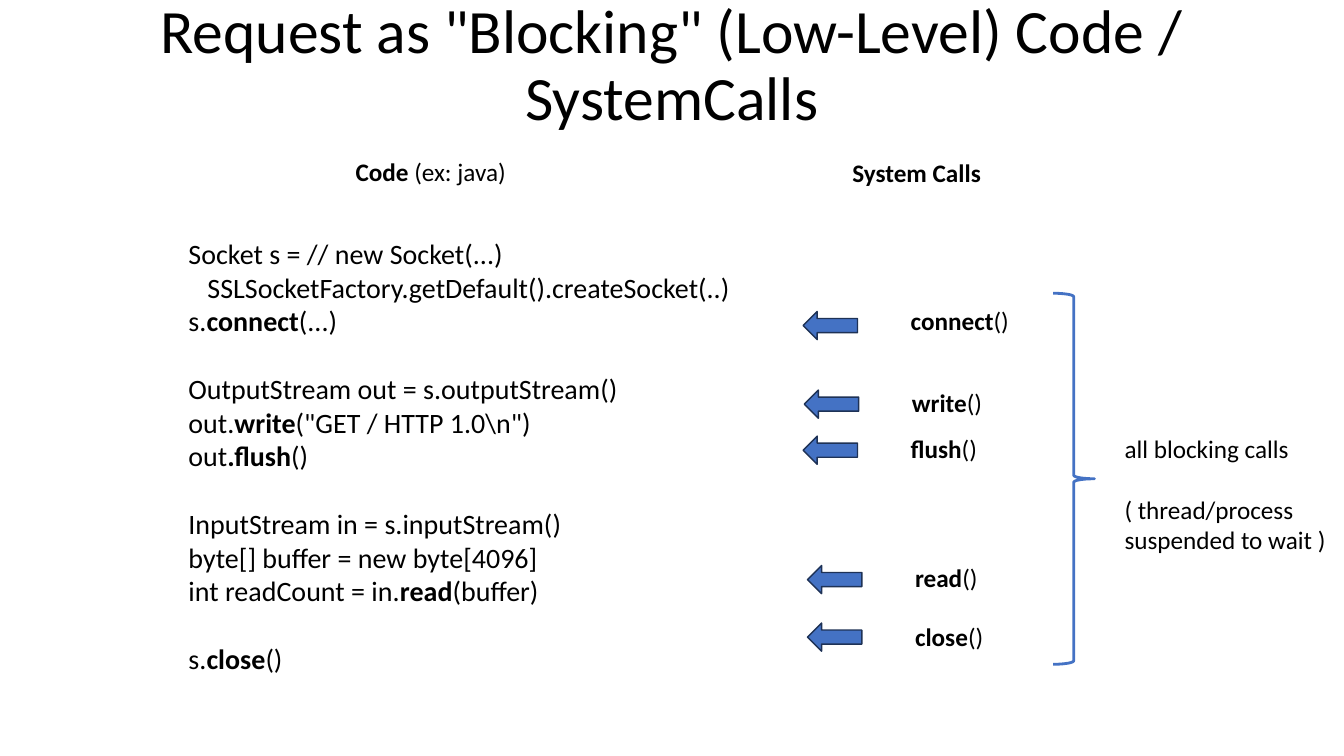
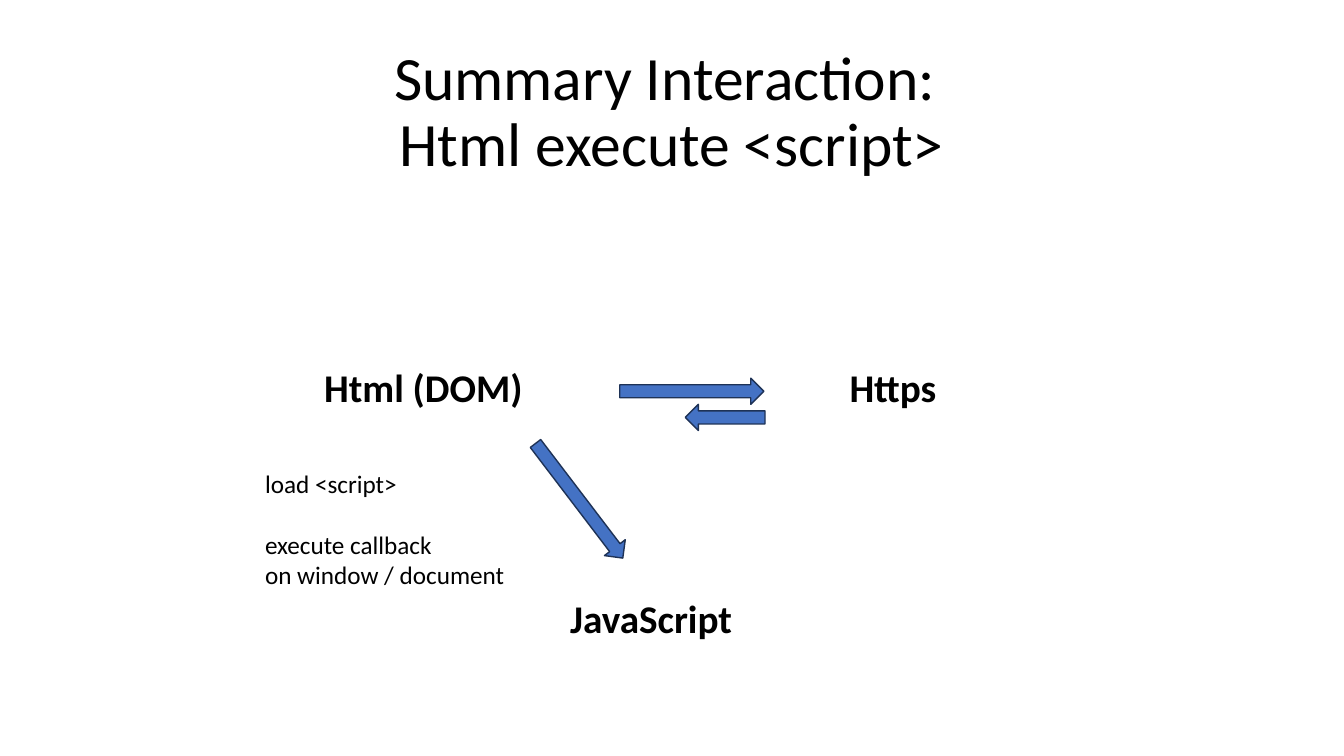
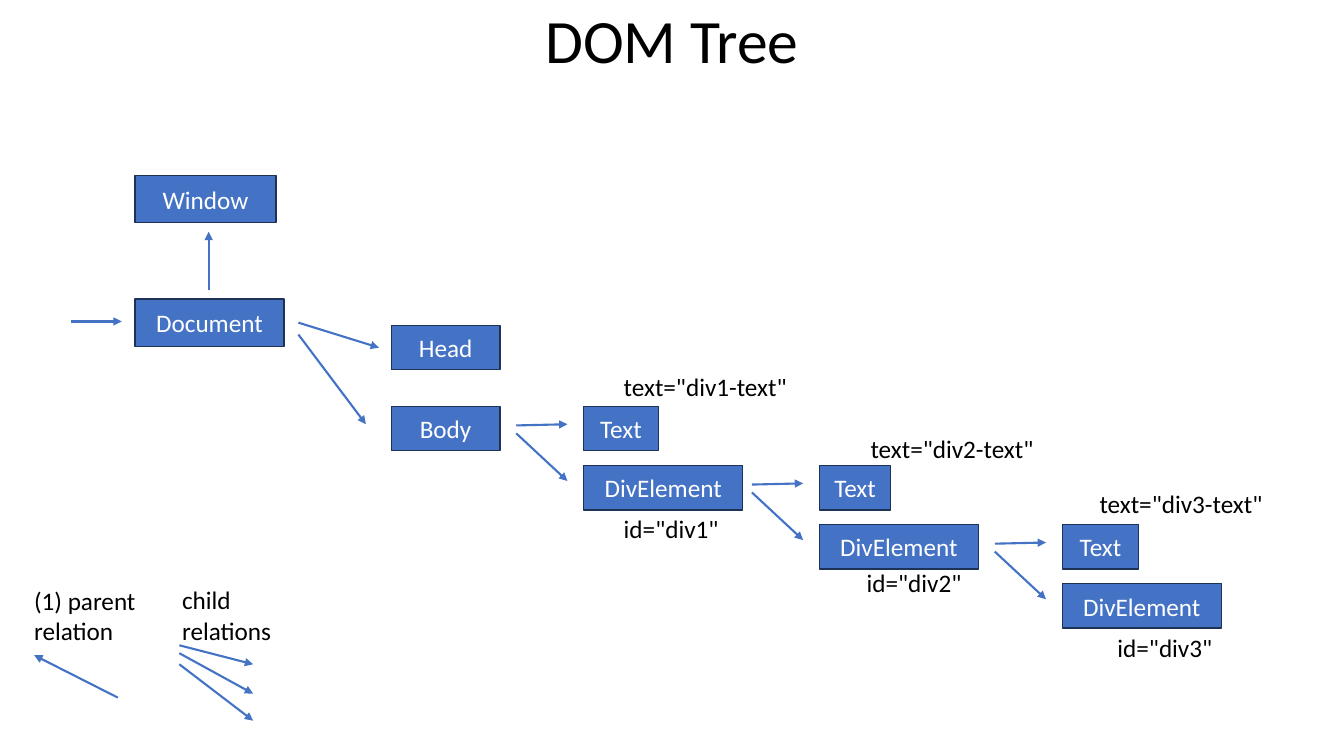
from dataclasses import dataclass

from lxml import etree
from pptx import Presentation
from pptx import util as u
from pptx.dml.color import RGBColor
from pptx.enum import shapes, text
from pptx.oxml.ns import qn

Cm, Pt = u.Cm, u.Pt
Shape = shapes.MSO_SHAPE


@dataclass(frozen=True)
class Theme:
    font: str = "Calibri"
    ink: RGBColor = RGBColor(0x00, 0x00, 0x00)
    paper: RGBColor = RGBColor(0xFF, 0xFF, 0xFF)
    accent: RGBColor = RGBColor(0x44, 0x72, 0xC4)
    outline: RGBColor = RGBColor(0x1E, 0x32, 0x56)
    title_size: int = 44
    topic_size: int = 28
    code_size: int = 20
    body_size: int = 18
    line_height: float = 1.22


class Deck:
    def __init__(self, theme):
        self.theme = theme
        self.prs = Presentation()
        self.prs.slide_width, self.prs.slide_height = Cm(33.87), Cm(19.05)
        self.slide = None

    def new_slide(self, title, top, height):
        self.slide = self.prs.slides.add_slide(self.prs.slide_layouts[6])
        box = self.slide.shapes.add_textbox(Cm(2.33), Cm(top), Cm(29.21), Cm(height))
        box.text_frame.word_wrap = True
        box.text_frame.vertical_anchor = text.MSO_ANCHOR.MIDDLE
        heading = box.text_frame.paragraphs[0]
        for number, line in enumerate(title.split("\n")):
            if number:
                heading.add_line_break()
            heading.add_run().text = line
        heading.alignment = text.PP_ALIGN.CENTER
        heading.line_spacing = 0.9
        self.set_font(heading, self.theme.title_size)

    def set_font(self, paragraph, size, color=None):
        font = paragraph.font
        font.name, font.size = self.theme.font, Pt(size)
        font.color.rgb = color or self.theme.ink

    def label(self, content, left, top, width, height=1.02, size=None,
              bold=False, wrap=False):
        """Add text: asterisks enclose bold words, an empty line makes a gap."""
        size = size or self.theme.body_size
        box = self.slide.shapes.add_textbox(Cm(left), Cm(top), Cm(width), Cm(height))
        frame = box.text_frame
        frame.word_wrap = wrap
        frame.auto_size = text.MSO_AUTO_SIZE.SHAPE_TO_FIT_TEXT
        paragraph = frame.paragraphs[0]
        for block, stanza in enumerate(content.split("\n\n")):
            for row, line in enumerate(stanza.split("\n")):
                if block or row:
                    paragraph = frame.add_paragraph()
                if block and not row:
                    paragraph.space_before = Pt(round(size * self.theme.line_height, 1))
                for part, words in enumerate(line.split("*")):
                    if words:
                        run = paragraph.add_run()
                        run.text = words
                        if part % 2:
                            run.font.bold = True
                self.set_font(paragraph, size)
                if bold:
                    paragraph.font.bold = True

    def block(self, kind, left, top, width, height, rotation=0):
        block = self.slide.shapes.add_shape(kind, Cm(left), Cm(top), Cm(width), Cm(height))
        block.shadow.inherit = False
        block.rotation = rotation
        block.fill.solid()
        block.fill.fore_color.rgb = self.theme.accent
        block.line.color.rgb = self.theme.outline
        block.line.width = Pt(1)
        return block

    def node(self, name, left, top, width, height=1.12):
        frame = self.block(Shape.RECTANGLE, left, top, width, height).text_frame
        frame.vertical_anchor = text.MSO_ANCHOR.MIDDLE
        paragraph = frame.paragraphs[0]
        paragraph.text = name
        paragraph.alignment = text.PP_ALIGN.CENTER
        self.set_font(paragraph, self.theme.body_size, self.theme.paper)

    def brace(self, left, top, width, height):
        brace = self.block(Shape.RIGHT_BRACE, left, top, width, height)
        brace.fill.background()
        brace.line.color.rgb = self.theme.accent
        brace.line.width = Pt(2)

    def arrow(self, x1, y1, x2, y2):
        arrow = self.slide.shapes.add_connector(
            shapes.MSO_CONNECTOR.STRAIGHT, Cm(x1), Cm(y1), Cm(x2), Cm(y2))
        arrow.line.color.rgb = self.theme.accent
        arrow.line.width = Pt(1.5)
        properties = arrow.element.spPr
        etree.SubElement(properties.find(qn("a:ln")), qn("a:tailEnd"), type="triangle")
        etree.SubElement(properties, qn("a:effectLst"))


SOCKET_CODE = r"""Socket s = // new Socket(...)
   SSLSocketFactory.getDefault().createSocket(..)
s.*connect*(...)

OutputStream out = s.outputStream()
out.*write*("GET / HTTP 1.0\n")
out*.flush*()

InputStream in = s.inputStream()
byte[] buffer = new byte[4096]
int readCount = in.*read*(buffer)

s.*close*()"""


def blocking_calls(deck):
    deck.new_slide('Request as "Blocking" (Low-Level) Code / SystemCalls', 0, 3.38)
    deck.label("*Code* (ex: java)", 8.71, 3.81, 4.34)
    deck.label("System Calls", 21.23, 3.84, 3.78, bold=True)
    deck.label(SOCKET_CODE, 4.5, 5.84, 14.3, 11.38, deck.theme.code_size)
    # call, arrow left, arrow top, label top, label width
    for call, left, arrow_top, label_top, width in (
            ("connect", 20.24, 7.85, 7.57, 3),
            ("write", 20.27, 9.83, 9.63, 2.31),
            ("flush", 20.24, 10.99, 10.8, 2.21),
            ("read", 20.35, 14.25, 14.05, 2.11),
            ("close", 20.35, 15.7, 15.52, 2.24)):
        deck.block(Shape.LEFT_ARROW, left, arrow_top, 1.37, 0.71)
        deck.label(f"*{call}*()", left + 2.46, label_top, width)
    deck.brace(26.54, 7.39, 1.04, 9.35)
    deck.label("all blocking calls\n\n( thread/process\nsuspended to wait )",
               28.09, 10.8, 5.64, 3.33)


def script_interaction(deck):
    deck.new_slide("Summary Interaction: \nHtml execute <script>", 1.02, 3.68)
    for topic, left, top, width in (
            ("Html (DOM)", 7.92, 9.04, 5.56),
            ("Https", 21.16, 9.04, 2.74),
            ("JavaScript", 14.12, 14.86, 4.65)):
        deck.label(topic, left, top, width, 1.45, deck.theme.topic_size, bold=True)
    deck.label("load <script>\n\nexecute callback\non window / document",
               6.43, 11.68, 6.63, 3.33)
    deck.block(Shape.RIGHT_ARROW, 12.78, 12.29, 3.63, 0.66, rotation=52.7)
    deck.block(Shape.RIGHT_ARROW, 15.62, 9.53, 3.63, 0.66)
    deck.block(Shape.LEFT_ARROW, 17.27, 10.19, 2.01, 0.66)


def dom_tree(deck):
    deck.new_slide("DOM Tree", 0, 2.21)
    deck.node("Window", 3.4, 4.42, 3.56, 1.19)
    deck.node("Document", 3.4, 7.54, 3.76, 1.19)
    deck.node("Head", 9.86, 8.2, 2.74)
    deck.node("Body", 9.86, 10.24, 2.74)

    first_top, step = 10.24, 1.49
    # left edge, text node width, text label place, id label place
    levels = (
        (14.71, 1.88, (15.47, 9.22), (15.47, 12.8)),
        (20.65, 1.8, (21.69, 10.8), (21.59, 14.17)),
        (26.77, 1.93, (27.46, 12.19), (27.91, 15.8)))
    for depth, (left, text_width, text_place, id_place) in enumerate(levels):
        top = first_top + depth * step
        deck.node("Text", left, top, text_width)
        deck.node("DivElement", left, top + step, 4.01)
        deck.arrow(left - 1.7, top + 0.48, left - 0.41, top + 0.45)
        deck.arrow(left - 1.7, top + 0.68, left - 0.41, top + 1.88)
        deck.label(f'text="div{depth + 1}-text"', *text_place, 4.67)
        deck.label(f'id="div{depth + 1}"', *id_place, 2.95)

    deck.label("(1) parent relation", 0.61, 14.63, 3.76, 1.8, wrap=True)
    deck.label("child relations", 4.34, 14.61, 3.76, 1.8, wrap=True)
    entry_and_parent = ((1.8, 8.1, 3.07, 8.1), (5.26, 7.32, 5.26, 5.84))
    document_children = ((7.52, 8.13, 9.55, 8.76), (7.52, 8.43, 9.22, 10.69))
    legend = ((2.97, 17.58, 0.86, 16.51), (4.52, 16.26, 6.38, 16.74),
              (4.52, 16.46, 6.38, 17.48), (4.52, 16.74, 6.38, 18.16))
    for ends in entry_and_parent + document_children + legend:
        deck.arrow(*ends)


def main():
    deck = Deck(Theme())
    blocking_calls(deck)
    script_interaction(deck)
    dom_tree(deck)
    deck.prs.save("out.pptx")


if __name__ == "__main__":
    main()
